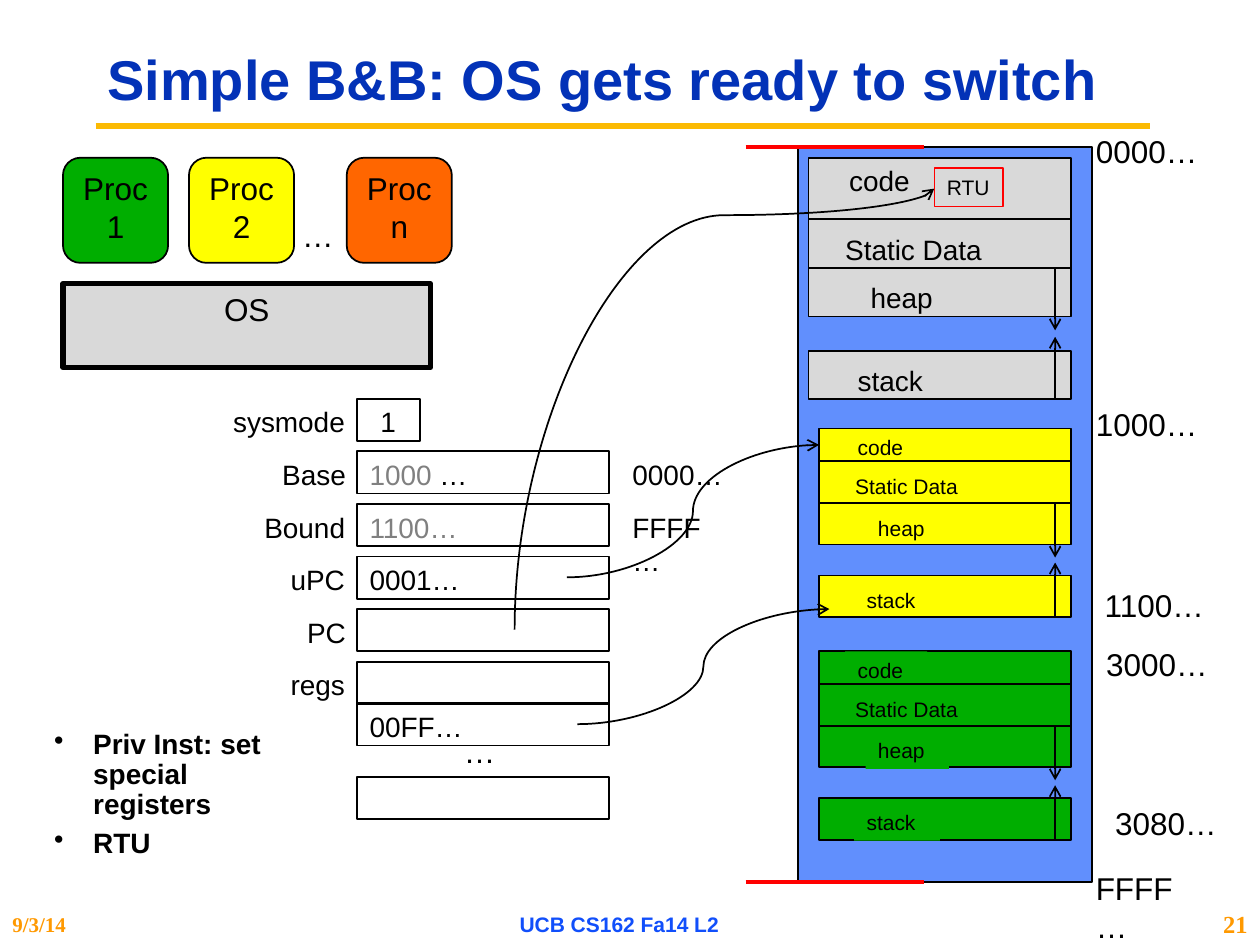
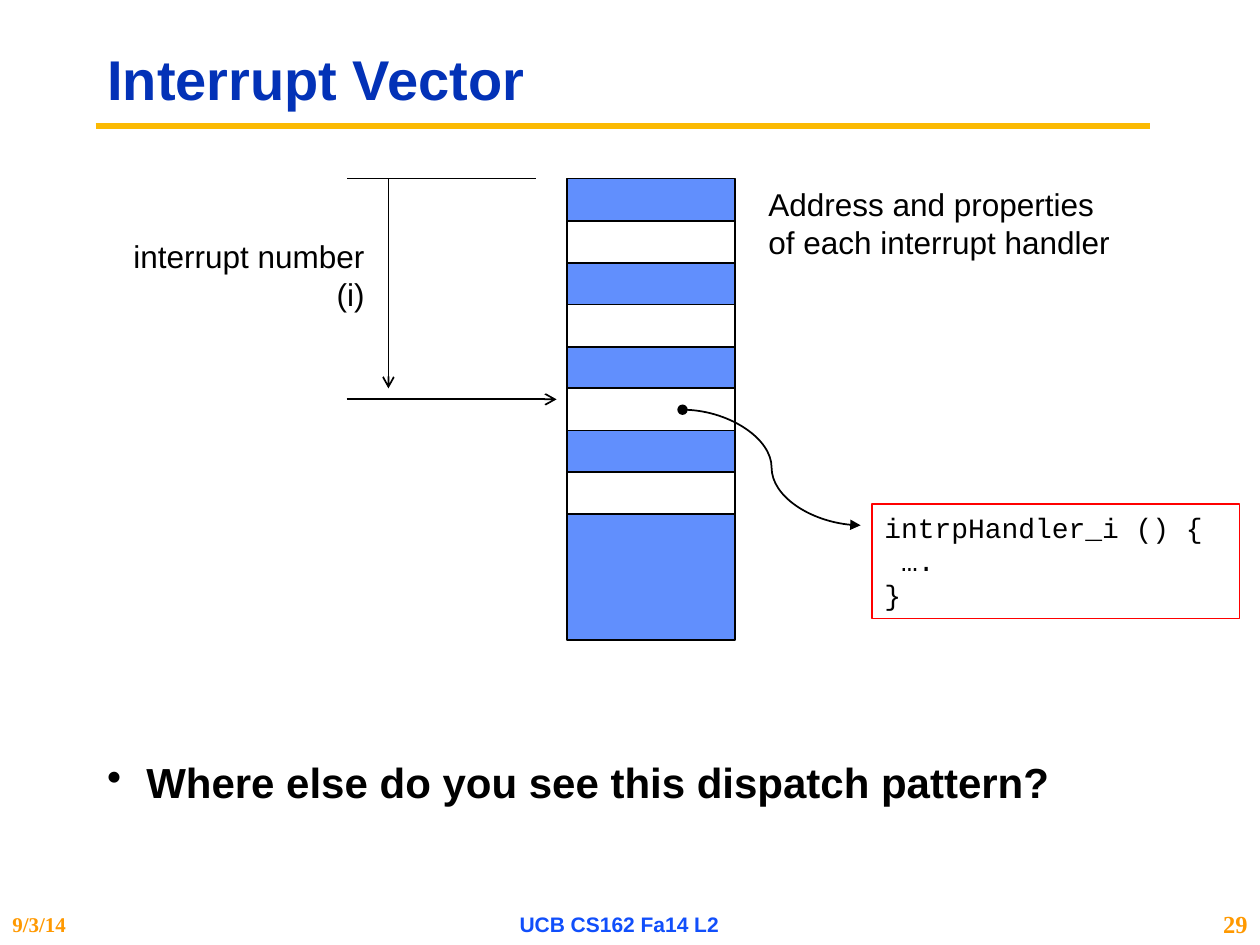
"""Builds two lecture slides: an OS about to switch processes, and the interrupt vector."""
from lxml.etree import SubElement
from pptx import Presentation
from pptx.dml.color import RGBColor
from pptx.enum.shapes import MSO_CONNECTOR as CONN, MSO_SHAPE as SHAPE
from pptx.enum.text import MSO_ANCHOR as ANCHOR, MSO_AUTO_SIZE as FIT, PP_ALIGN as ALIGN
from pptx.oxml.ns import qn
from pptx.util import Cm, Pt

BLACK = RGBColor(0x00, 0x00, 0x00)
WHITE = RGBColor(0xFF, 0xFF, 0xFF)
GRAY = RGBColor(0x80, 0x80, 0x80)
SILVER = RGBColor(0xD9, 0xD9, 0xD9)
RED = RGBColor(0xFF, 0x00, 0x00)
GREEN = RGBColor(0x00, 0xAE, 0x00)
YELLOW = RGBColor(0xFF, 0xFF, 0x00)
ORANGE = RGBColor(0xFF, 0x66, 0x00)
BLUE = RGBColor(0x61, 0x8F, 0xFD)
TITLE_BLUE = RGBColor(0x03, 0x32, 0xB7)
FOOTER_BLUE = RGBColor(0x11, 0x4F, 0xFB)
AMBER = RGBColor(0xFF, 0x99, 0x00)
GOLD = RGBColor(0xFB, 0xBA, 0x03)


def add_box(s, x, y, w, h, text="", size=18, shape=None, fill=None, line=None, width=1,
            color=BLACK, font="Arial", bold=False, align=ALIGN.LEFT, anchor=ANCHOR.TOP, wrap=False):
    box = Cm(x), Cm(y), Cm(w), Cm(h)
    if shape is None:
        sp = s.shapes.add_textbox(*box)
    else:
        sp = s.shapes.add_shape(shape, *box)
        sp.shadow.inherit = False
    if fill is None:
        sp.fill.background()
    else:
        sp.fill.solid()
        sp.fill.fore_color.rgb = fill
    if line is None:
        sp.line.fill.background()
    else:
        sp.line.color.rgb = line
        sp.line.width = Pt(width)
    tf = sp.text_frame
    tf.text = text
    tf.word_wrap = wrap
    tf.vertical_anchor = anchor
    if text and not wrap:
        tf.auto_size = FIT.SHAPE_TO_FIT_TEXT
    for p in tf.paragraphs:
        p.alignment = align
        for r in p.runs:
            r.font.name, r.font.size, r.font.bold = font, Pt(size), bold
            r.font.color.rgb = color
    return sp


def add_line(s, x1, y1, x2, y2, color=BLACK, width=1, head=None, tail=None, kind=CONN.STRAIGHT):
    c = s.shapes.add_connector(kind, Cm(x1), Cm(y1), Cm(x2), Cm(y2))
    c.line.color.rgb = color
    c.line.width = Pt(width)
    ln = c.line._get_or_add_ln()
    for tag, end in (("a:headEnd", head), ("a:tailEnd", tail)):
        if end:
            SubElement(ln, qn(tag), type=end)
    SubElement(c._element.spPr, qn("a:effectLst"))
    return c


prs = Presentation()
prs.slide_width, prs.slide_height = Cm(25.4), Cm(19.05)

slides = []
for title, number, bullets, size, body in (
    ("Simple B&B: OS gets ready to switch", "21",
     "Priv Inst: set special registers\nRTU", 16, (0.84, 14.6, 5.72, 2.97)),
    ("Interrupt Vector", "29",
     "Where else do you see this dispatch pattern?", 24, (1.91, 15.24, 21.16, 2.34)),
):
    s = prs.slides.add_slide(prs.slide_layouts[5])
    slides.append(s)
    add_line(s, 1.93, 2.54, 23.19, 2.54, GOLD, 3.75)
    sp = s.shapes.title
    sp.left, sp.top, sp.width, sp.height = Cm(1.91), Cm(0.64), Cm(21.39), Cm(2.06)
    tf = sp.text_frame
    tf.text = title
    tf.vertical_anchor = ANCHOR.MIDDLE
    tf.auto_size = FIT.NONE
    p = tf.paragraphs[0]
    p.alignment, p.line_spacing = ALIGN.LEFT, 0.9
    r = p.runs[0]
    r.font.name, r.font.size, r.font.bold = "Arial", Pt(32), True
    r.font.color.rgb = TITLE_BLUE

    sp = add_box(s, *body, bullets, size, bold=True, wrap=True)
    for i, p in enumerate(sp.text_frame.paragraphs):
        p.line_spacing = 0.9
        p.space_before = Pt(0.3 * size if i else 0)
        pPr = p._p.get_or_add_pPr()
        pPr.set("marL", str(Cm(0.79)))
        pPr.set("indent", str(-Cm(0.79)))
        SubElement(pPr, qn("a:buChar"), char="•")

    for x, w, text, pt, color, font, align in (
        (0, 4.24, "9/3/14", 12, AMBER, "Times New Roman", ALIGN.LEFT),
        (8.46, 8.05, "UCB CS162 Fa14 L2", 12, FOOTER_BLUE, "Arial", ALIGN.CENTER),
        (23.93, 1.47, number, 14, AMBER, "Times New Roman", ALIGN.RIGHT),
    ):
        add_box(s, x, 18.21, w, 0.84, text, pt, color=color, font=font, bold=True,
                align=align, anchor=ANCHOR.MIDDLE, wrap=True)

switch, vector = slides

add_box(switch, 1.27, 5.72, 7.41, 1.69, "OS", shape=SHAPE.RECTANGLE, fill=SILVER, line=BLACK,
        width=3, align=ALIGN.CENTER, wrap=True)
for x, text, fill in ((1.27, "Proc 1", GREEN), (3.81, "Proc 2", YELLOW), (6.99, "Proc n", ORANGE)):
    add_box(switch, x, 3.18, 2.12, 2.12, text, shape=SHAPE.ROUNDED_RECTANGLE, fill=fill,
            line=BLACK, align=ALIGN.CENTER, wrap=True)
add_box(switch, 5.84, 4.24, 1.14, 1.02, "…")

add_box(switch, 16.09, 2.96, 5.93, 14.82, shape=SHAPE.RECTANGLE, fill=BLUE, line=BLACK)
os_parts = (("code", 0, 1.24, 16.87, 0, 1.98), ("Static Data", 1.24, 0.98, 16.79, 1.39, 3.76),
            ("heap", 2.22, 0.98, 17.3, 2.36, 2.03), ("stack", 3.89, 0.98, 17.04, 4.03, 2.13))
proc_parts = (("code", 0, 0.66, 17.04, 0, 1.65), ("Static Data", 0.66, 0.84, 16.99, 0.78, 2.97),
              ("heap", 1.5, 0.84, 17.45, 1.62, 1.68), ("stack", 2.96, 0.84, 17.22, 3.07, 1.73))
code_boxes = []
for x, top, fill, label_fill, size, parts, growth in (
    (16.3, 3.18, SILVER, None, 16, os_parts, 1.26),
    (16.51, 8.64, YELLOW, None, 12, proc_parts, 1.1),
    (16.51, 13.13, GREEN, GREEN, 12, proc_parts, 1.1),
):
    for label, dy, h, label_x, label_dy, label_w in parts:
        sp = add_box(switch, x, top + dy, 21.59 - x, h, shape=SHAPE.RECTANGLE,
                     fill=fill, line=BLACK)
        if label == "code":
            code_boxes.append(sp)
        add_box(switch, label_x, top + label_dy, label_w, 0.75, label, size, fill=label_fill)
    heap_top, stack_bottom = top + parts[2][1], top + parts[3][1] + parts[3][2]
    add_line(switch, 21.27, stack_bottom, 21.27, stack_bottom - growth, tail="arrow")
    add_line(switch, 21.27, heap_top, 21.27, heap_top + growth, tail="arrow")

for x, y, text in ((21.84, 2.54, "0000…"), (21.84, 17.4, "FFFF…"), (21.84, 8.05, "1000…"),
                   (22.02, 11.68, "1100…"), (22.05, 12.88, "3000…"), (22.23, 16.08, "3080…")):
    add_box(switch, x, y, 2.59, 1.02, text)

for i, (name, name_w, value, value_w, color, limit) in enumerate((
    ("sysmode", 2.79, "1", 0.84, BLACK, ""),
    ("Base", 1.8, "1000 ", 2.51, GRAY, "0000…"),
    ("Bound", 2.16, "1100…", 2.31, GRAY, "FFFF…"),
    ("uPC", 1.63, "0001…", 2.36, BLACK, ""),
    ("PC", 1.3, "", 0, BLACK, ""),
    ("regs", 1.63, "", 0, BLACK, ""),
)):
    y = 8.04 + 1.06 * i
    is_flag = name == "sysmode"
    add_box(switch, 7.2, y, 1.27 if is_flag else 5.08, 0.85, shape=SHAPE.RECTANGLE, line=BLACK)
    add_box(switch, 7.24 - name_w, y, name_w, 0.94, name, 16)
    if value:
        sp = add_box(switch, 7.42 if is_flag else 7.2, y, value_w, 0.94, value, 16, color=color)
        if name == "Base":
            r = sp.text_frame.paragraphs[0].add_run()
            r.text = "…"
            r.font.name, r.font.size, r.font.color.rgb = "Arial", Pt(16), BLACK
    if limit:
        add_box(switch, 12.5, y, 2.41, 0.94, limit, 16)
for y in (14.18, 15.66):
    add_box(switch, 7.2, y, 5.08, 0.85, shape=SHAPE.RECTANGLE, line=BLACK)
add_box(switch, 7.2, 14.18, 2.41, 0.94, "00FF…", 16)
add_box(switch, 9.1, 14.63, 1.14, 1.02, "…")

for y in (2.96, 17.78):
    add_line(switch, 15.03, y, 18.63, y, RED, 2.25)
pc_curve = add_line(switch, 19.05, 12.48, 10.16, 4.02, tail="arrow", kind=CONN.CURVE)
pc_curve._element.spPr.xfrm.set("rot", "5400000")
SubElement(pc_curve._element.spPr.find(".//" + qn("a:avLst")), qn("a:gd"),
           name="adj1", fmla="val 94000")
upc_curve = add_line(switch, 11.43, 11.64, 16.51, 8.97, tail="arrow", kind=CONN.CURVE)
upc_curve.end_connect(code_boxes[1], 1)
add_line(switch, 11.64, 14.6, 16.72, 12.28, tail="arrow", kind=CONN.CURVE)
add_box(switch, 18.84, 3.39, 1.38, 0.77, "RTU", 12, shape=SHAPE.RECTANGLE, line=RED, width=0.75)

add_box(vector, 11.43, 3.6, 3.39, 9.31, shape=SHAPE.RECTANGLE, fill=BLUE, line=BLACK)
for i in range(4):
    add_box(vector, 11.43, 4.45 + 1.69 * i, 3.39, 0.85, shape=SHAPE.RECTANGLE,
            fill=WHITE, line=BLACK)
add_line(vector, 10.8, 3.6, 6.99, 3.6)
add_line(vector, 7.83, 3.6, 7.83, 7.83, tail="arrow")
add_line(vector, 6.99, 8.05, 11.22, 8.05, tail="arrow")
add_box(vector, 2.34, 4.65, 5.26, 1.8, "interrupt number\n(i)", align=ALIGN.RIGHT)
add_line(vector, 13.76, 8.26, 17.35, 10.59, head="oval", tail="triangle", kind=CONN.CURVE)
add_box(vector, 17.58, 10.16, 7.41, 2.31, "intrpHandler_i () {\n ….\n}", 16, wrap=True,
        shape=SHAPE.RECTANGLE, line=RED, width=0.75, font="Courier New")
add_box(vector, 15.24, 3.6, 7.62, 1.8, "Address and properties of each interrupt handler", wrap=True)

prs.save("out.pptx")
